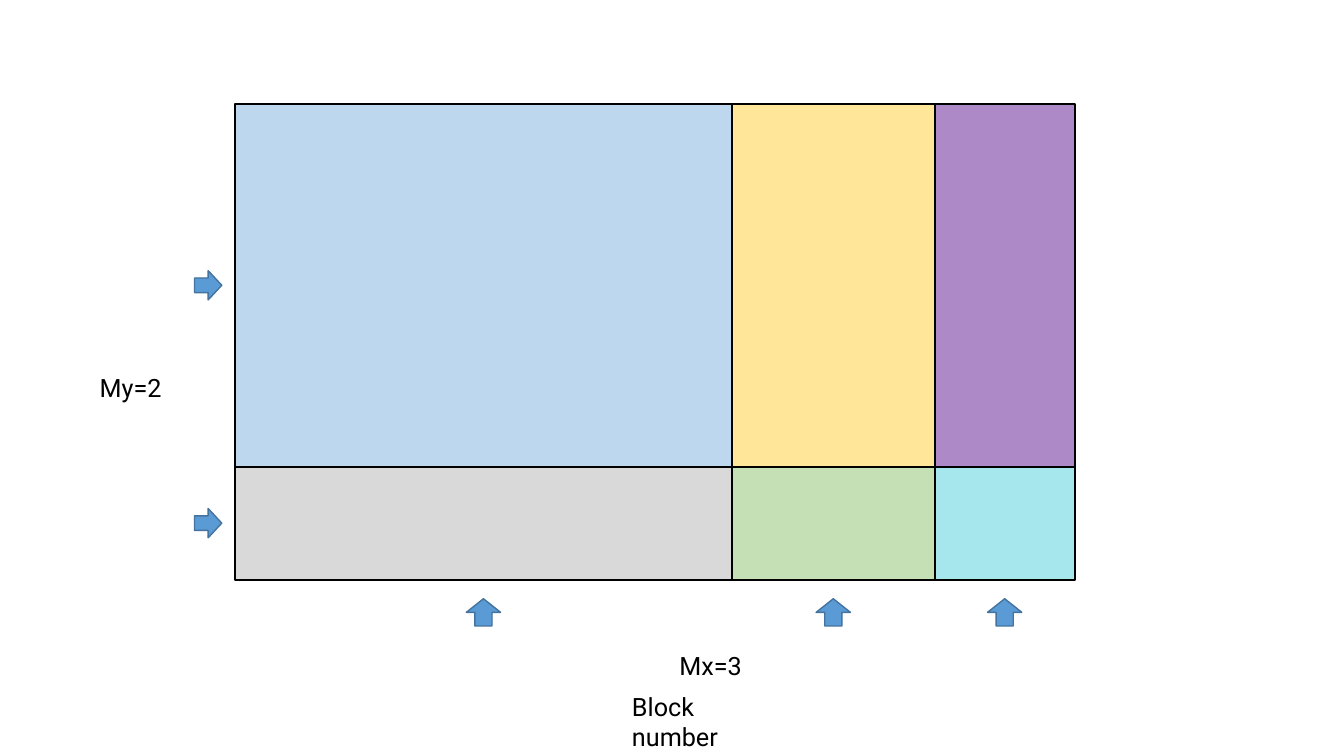
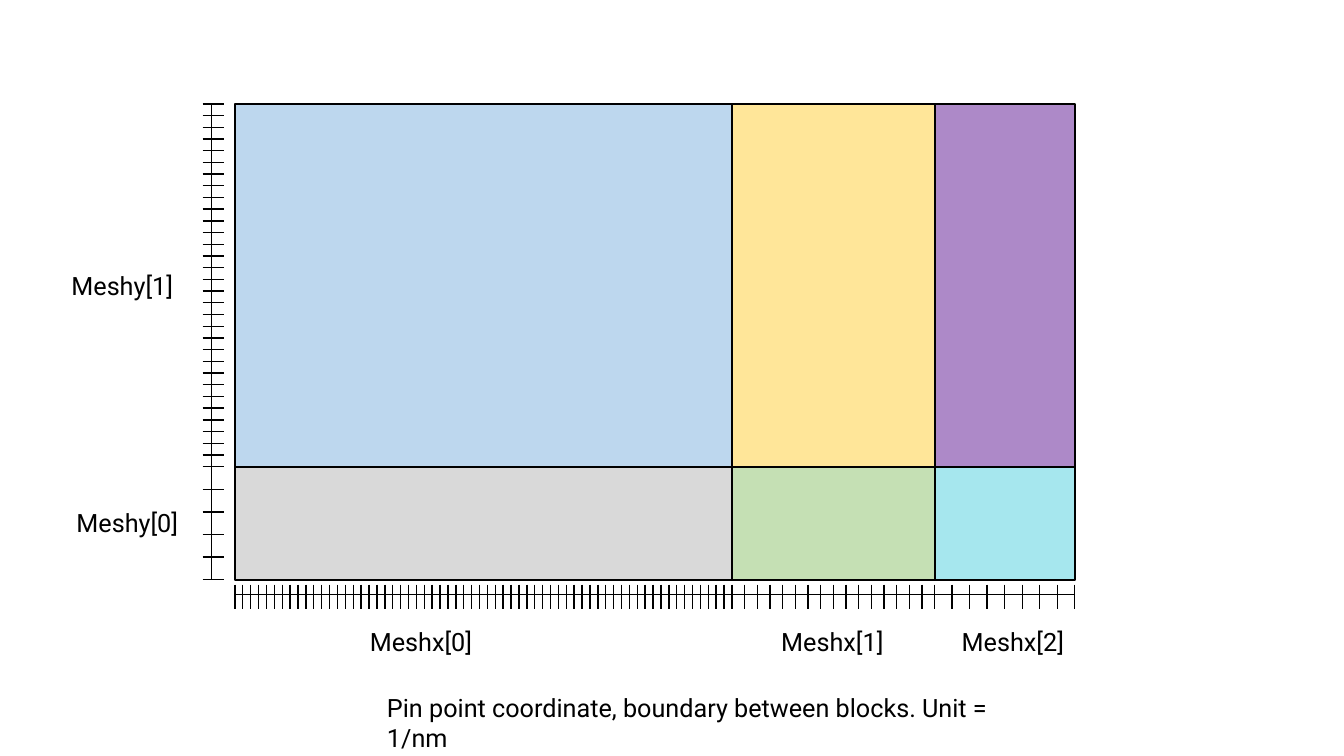
from itertools import pairwise

from lxml import etree
from pptx import Presentation, util as u
from pptx.dml.color import RGBColor
from pptx.enum import shapes, text
from pptx.oxml.ns import qn

PX = 9144  # 100 px to the inch
BLACK, ARROW_FILL, ARROW_EDGE = "000000", "5B9BD5", "43739E"

COLUMN_EDGES = [233, 726, 927, 1066]
ROW_EDGES = [103, 463, 575]
COLUMNS = list(pairwise(COLUMN_EDGES))
ROWS = list(pairwise(ROW_EDGES))
LEFT, RIGHT = COLUMN_EDGES[0], COLUMN_EDGES[-1]
TOP, BOTTOM = ROW_EDGES[0], ROW_EDGES[-1]
BLOCK_FILLS = [["BDD7EE", "FFE699", "7030A0"],
               ["D9D9D9", "C5E0B4", "A6E7EE"]]
OPACITY = {"7030A0": 57}

COLUMN_CELLS = [63, 16, 8]
ROW_CELLS = [31, 5]


def draw(page, kind, left, top, width, height, fill=None, line=BLACK, weight=1):
    """Add a filled preset shape, or a straight line when kind is a connector."""
    if kind == shapes.MSO_CONNECTOR.STRAIGHT and fill is None:
        shape = page.shapes.add_connector(
            kind, *(round(n * PX) for n in (left, top, left + width, top + height)))
        etree.SubElement(shape.element.spPr, qn("a:effectLst"))
    else:
        shape = page.shapes.add_shape(
            kind, *(round(n * PX) for n in (left, top, width, height)))
        shape.shadow.inherit = False
        shape.fill.solid()
        shape.fill.fore_color.rgb = RGBColor.from_string(fill)
        if fill in OPACITY:
            colour = shape.element.spPr.find(f".//{qn('a:srgbClr')}")
            etree.SubElement(colour, qn("a:alpha"), val=str(OPACITY[fill] * 1000))
    shape.line.color.rgb = RGBColor.from_string(line)
    shape.line.width = u.Pt(weight)


def write(page, words, left, top, width, height=40, size=18, font="Roboto", colour=BLACK):
    box = page.shapes.add_textbox(left * PX, top * PX, width * PX, height * PX)
    box.text_frame.word_wrap = True
    box.text_frame.auto_size = text.MSO_AUTO_SIZE.SHAPE_TO_FIT_TEXT
    span = box.text_frame.paragraphs[0].add_run()
    span.text = words
    span.font.size = u.Pt(size)
    span.font.name = font
    span.font.color.rgb = RGBColor.from_string(colour)


deck = Presentation()
deck.slide_width, deck.slide_height = 1333 * PX, 750 * PX
blank = deck.slide_layouts[6]
block_page, mesh_page = (deck.slides.add_slide(blank) for _ in range(2))

# Both slides: the grid of blocks
for page in (block_page, mesh_page):
    for (top, bottom), fills in zip(ROWS, BLOCK_FILLS):
        for (left, right), fill in zip(COLUMNS, fills):
            draw(page, shapes.MSO_SHAPE.RECTANGLE, left, top,
                 right - left, bottom - top, fill=fill, weight=1.5)

# Slide 1: one arrow for each row and column
arrow_style = {"fill": ARROW_FILL, "line": ARROW_EDGE}
for top, bottom in ROWS:
    draw(block_page, shapes.MSO_SHAPE.RIGHT_ARROW,
         193, (top + bottom - 29) / 2, 27, 29, **arrow_style)
for left, right in COLUMNS:
    draw(block_page, shapes.MSO_SHAPE.UP_ARROW,
         (left + right - 34) / 2, 594, 34, 27, **arrow_style)
write(block_page, "My=2", 89, 364, 88)
write(block_page, "Mx=3", 664, 640, 88)
write(block_page, "Block number", 617, 681, 170)

# Slide 2: rulers with evenly spaced ticks within each block
LINE = shapes.MSO_CONNECTOR.STRAIGHT
draw(mesh_page, LINE, 210, TOP, 0, BOTTOM - TOP)
draw(mesh_page, LINE, LEFT, 590, RIGHT - LEFT, 0)
draw(mesh_page, LINE, 201, TOP, 21, 0)
draw(mesh_page, LINE, LEFT, 580, 0, 24)
for (top, bottom), cells in zip(ROWS, ROW_CELLS):
    for tick in range(1, cells + 1):
        draw(mesh_page, LINE, 201, top + (bottom - top) * tick / cells, 21, 0)
for (left, right), cells in zip(COLUMNS, COLUMN_CELLS):
    for tick in range(1, cells + 1):
        draw(mesh_page, LINE, left + (right - left) * tick / cells, 580, 0, 24)

for words, left, top in [("Meshy[1]", 61, 263), ("Meshy[0]", 66, 498),
                         ("Meshx[0]", 357, 616), ("Meshx[1]", 765, 616),
                         ("Meshx[2]", 944, 616)]:
    write(mesh_page, words, left, top, 122)
write(mesh_page, "Pin point coordinate, boundary between blocks. Unit = 1/nm", 374, 682, 667)

deck.save("out.pptx")
